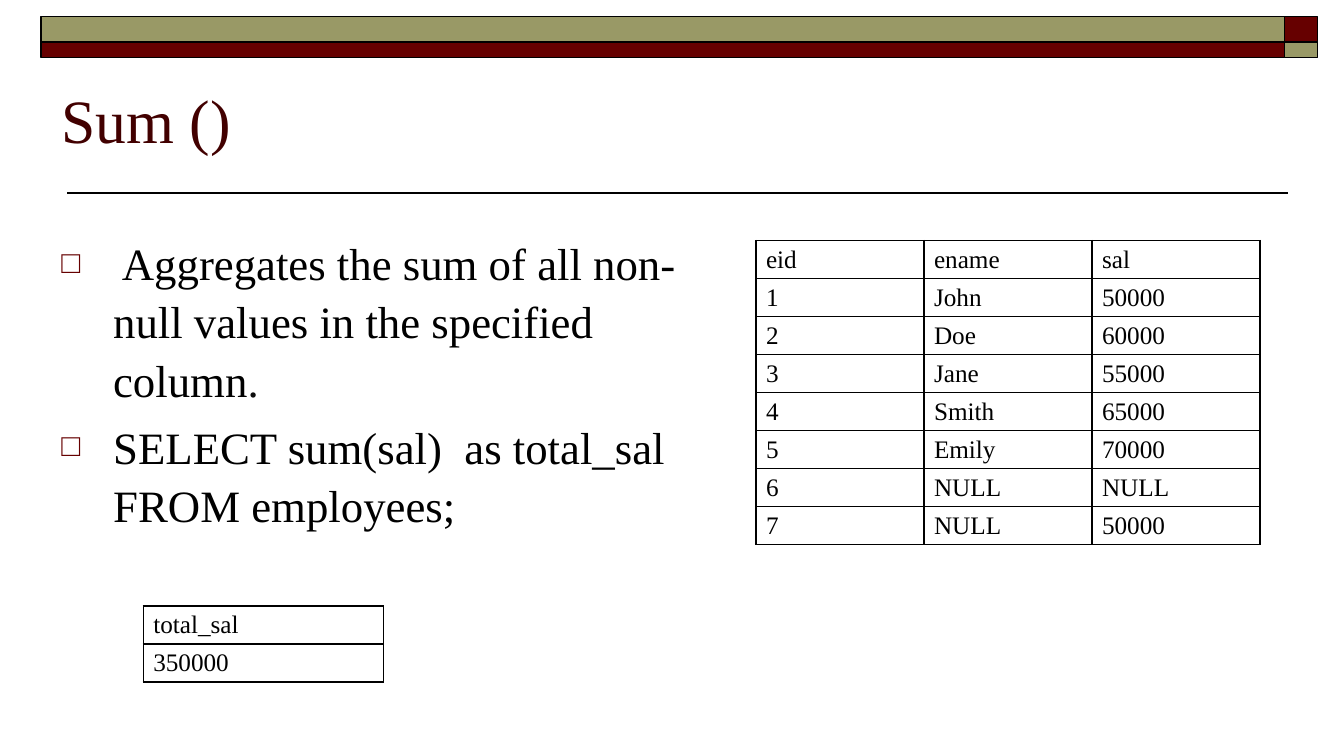
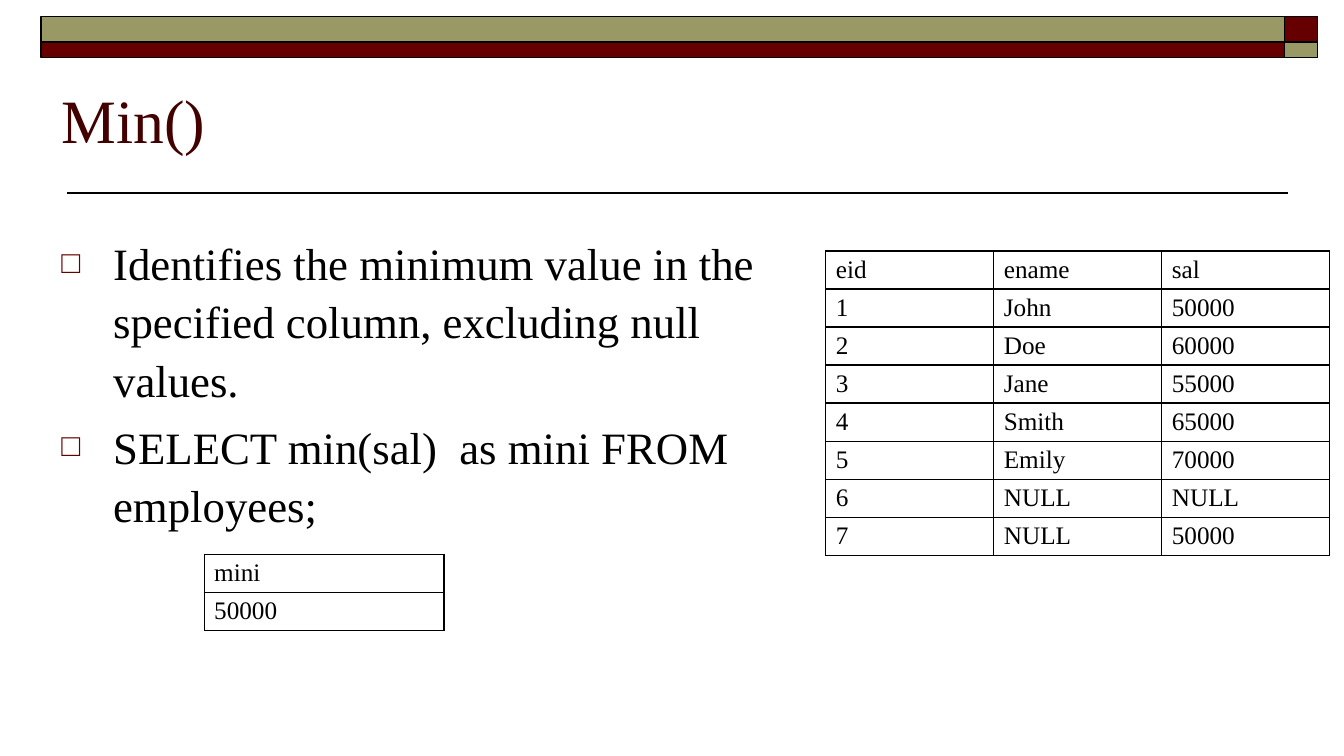
from dataclasses import dataclass

from lxml import etree
from pptx import Presentation
from pptx.dml.color import RGBColor
from pptx.enum.shapes import MSO_CONNECTOR as CONN, MSO_SHAPE as SHAPE
from pptx.enum.text import MSO_ANCHOR as ANCHOR, MSO_AUTO_SIZE as AUTOSIZE, PP_ALIGN as ALIGN
from pptx.oxml.ns import qn
from pptx.util import Pt


@dataclass(frozen=True)
class Theme:
    font: str = "Times New Roman"
    maroon: str = "660000"
    olive: str = "999966"
    title: str = "420000"
    ink: str = "000000"
    soft_ink: str = "0D0D0D"
    title_size: float = 44
    body_size: float = 32
    table_size: float = 18


T = Theme()

# Content: each bullet is a list of (text, colour) runs
EMPLOYEES = [
    ("eid", "ename", "sal"),
    ("1", "John", "50000"),
    ("2", "Doe", "60000"),
    ("3", "Jane", "55000"),
    ("4", "Smith", "65000"),
    ("5", "Emily", "70000"),
    ("6", "NULL", "NULL"),
    ("7", "NULL", "50000"),
]
SLIDES = [
    {
        "title": "Sum ()",
        "bullets": [
            [(" Aggregates the sum of all non-null values in the specified column", T.ink),
             (".", T.soft_ink)],
            [("SELECT sum(sal)  as total_sal FROM employees;", T.ink)],
        ],
        "body_width": 484.5,
        "employees_at": (540, 171.8),
        "result": [("total_sal",), ("350000",)],
        "result_at": (102.3, 432.8),
    },
    {
        "title": "Min()",
        "bullets": [
            [("Identifies the minimum value in the specified column, "
              "excluding null values.", T.ink)],
            [("SELECT min(sal)  as mini FROM employees;", T.ink)],
        ],
        "body_width": 523.5,
        "employees_at": (589.9, 179.3),
        "result": [("mini",), ("50000",)],
        "result_at": (145.8, 395.9),
    },
]

# Layout, in points
BAND_X = (29.3, 917.3, 941.3)
BAND_Y = (12, 30, 41)
RULE = (48.2, 138, 920.2)
TEXT_LEFT = 36.7
TITLE_BOX = (TEXT_LEFT, 25.2, 864, 90)
BODY_TOP, BODY_HEIGHT = 162, 329
INDENT = 36.9
EMPLOYEE_COL, RESULT_COL, ROW_HEIGHT = 120, 171.4, 27.1


def rgb(value):
    return RGBColor.from_string(value)


def style(run, size, colour):
    run.font.name = T.font
    run.font.size = Pt(size)
    run.font.color.rgb = rgb(colour)


def place(sp, left, top, width, height):
    sp.left, sp.top, sp.width, sp.height = map(Pt, (left, top, width, height))


def outline(line):
    line.color.rgb = rgb(T.ink)
    line.width = Pt(1)


def add_frame(s):
    """Checkered band at the top and the rule under the title."""
    for row in range(2):
        for col in range(2):
            x, y = BAND_X[col], BAND_Y[row]
            sp = s.shapes.add_shape(SHAPE.RECTANGLE, Pt(x), Pt(y),
                                    Pt(BAND_X[col + 1] - x), Pt(BAND_Y[row + 1] - y))
            sp.shadow.inherit = False
            sp.fill.solid()
            sp.fill.fore_color.rgb = rgb((T.olive, T.maroon)[(row + col) % 2])
            outline(sp.line)
    left, y, right = map(Pt, RULE)
    rule = s.shapes.add_connector(CONN.STRAIGHT, left, y, right, y)
    outline(rule.line)
    etree.SubElement(rule.element.spPr, qn("a:effectLst"))


def add_title(s, text):
    sp = s.shapes.title
    place(sp, *TITLE_BOX)
    tf = sp.text_frame
    tf.text = text
    tf.auto_size = AUTOSIZE.NONE
    tf.vertical_anchor = ANCHOR.BOTTOM
    p = tf.paragraphs[0]
    p.alignment = ALIGN.LEFT
    style(p.runs[0], T.title_size, T.title)


def add_bullet(p):
    pPr = p._p.get_or_add_pPr()
    pPr.set("marL", str(Pt(INDENT)))
    pPr.set("indent", str(-Pt(INDENT)))
    colour = etree.SubElement(pPr, qn("a:buClr"))
    etree.SubElement(colour, qn("a:srgbClr"), val=T.maroon)
    etree.SubElement(pPr, qn("a:buSzPct"), val="70000")
    etree.SubElement(pPr, qn("a:buFont"), typeface=T.font)
    etree.SubElement(pPr, qn("a:buChar"), char="□")


def add_body(s, bullets, width):
    sp = s.placeholders[1]
    place(sp, TEXT_LEFT, BODY_TOP, width, BODY_HEIGHT)
    tf = sp.text_frame
    tf.auto_size = AUTOSIZE.NONE
    for i, runs in enumerate(bullets):
        p = tf.add_paragraph() if i else tf.paragraphs[0]
        add_bullet(p)
        p.line_spacing = 1.08
        p.space_before = Pt(0.2 * T.body_size if i else 0)
        for text, colour in runs:
            r = p.add_run()
            r.text = text
            style(r, T.body_size, colour)


def add_borders(cell):
    tcPr = cell._tc.get_or_add_tcPr()
    for side in ("lnL", "lnR", "lnT", "lnB"):
        ln = etree.SubElement(tcPr, qn(f"a:{side}"), w=str(Pt(1)))
        fill = etree.SubElement(ln, qn("a:solidFill"))
        etree.SubElement(fill, qn("a:srgbClr"), val=T.ink)


def add_grid(s, rows, at, col_width):
    n_rows, n_cols = len(rows), len(rows[0])
    table = s.shapes.add_table(n_rows, n_cols, Pt(at[0]), Pt(at[1]),
                               Pt(n_cols * col_width), Pt(n_rows * ROW_HEIGHT)).table
    table.first_row = table.horz_banding = False
    for col in table.columns:
        col.width = Pt(col_width)
    for i, values in enumerate(rows):
        table.rows[i].height = Pt(ROW_HEIGHT)
        for j, value in enumerate(values):
            cell = table.cell(i, j)
            add_borders(cell)
            cell.fill.background()
            cell.vertical_anchor = ANCHOR.MIDDLE if i else ANCHOR.BOTTOM
            cell.text_frame.text = value
            style(cell.text_frame.paragraphs[0].runs[0], T.table_size, T.ink)


def main():
    prs = Presentation()
    prs.slide_width, prs.slide_height = Pt(960), Pt(540)
    for item in SLIDES:
        s = prs.slides.add_slide(prs.slide_layouts[1])
        add_frame(s)
        add_title(s, item["title"])
        add_body(s, item["bullets"], item["body_width"])
        add_grid(s, EMPLOYEES, item["employees_at"], EMPLOYEE_COL)
        add_grid(s, item["result"], item["result_at"], RESULT_COL)
    prs.save("out.pptx")


if __name__ == "__main__":
    main()
